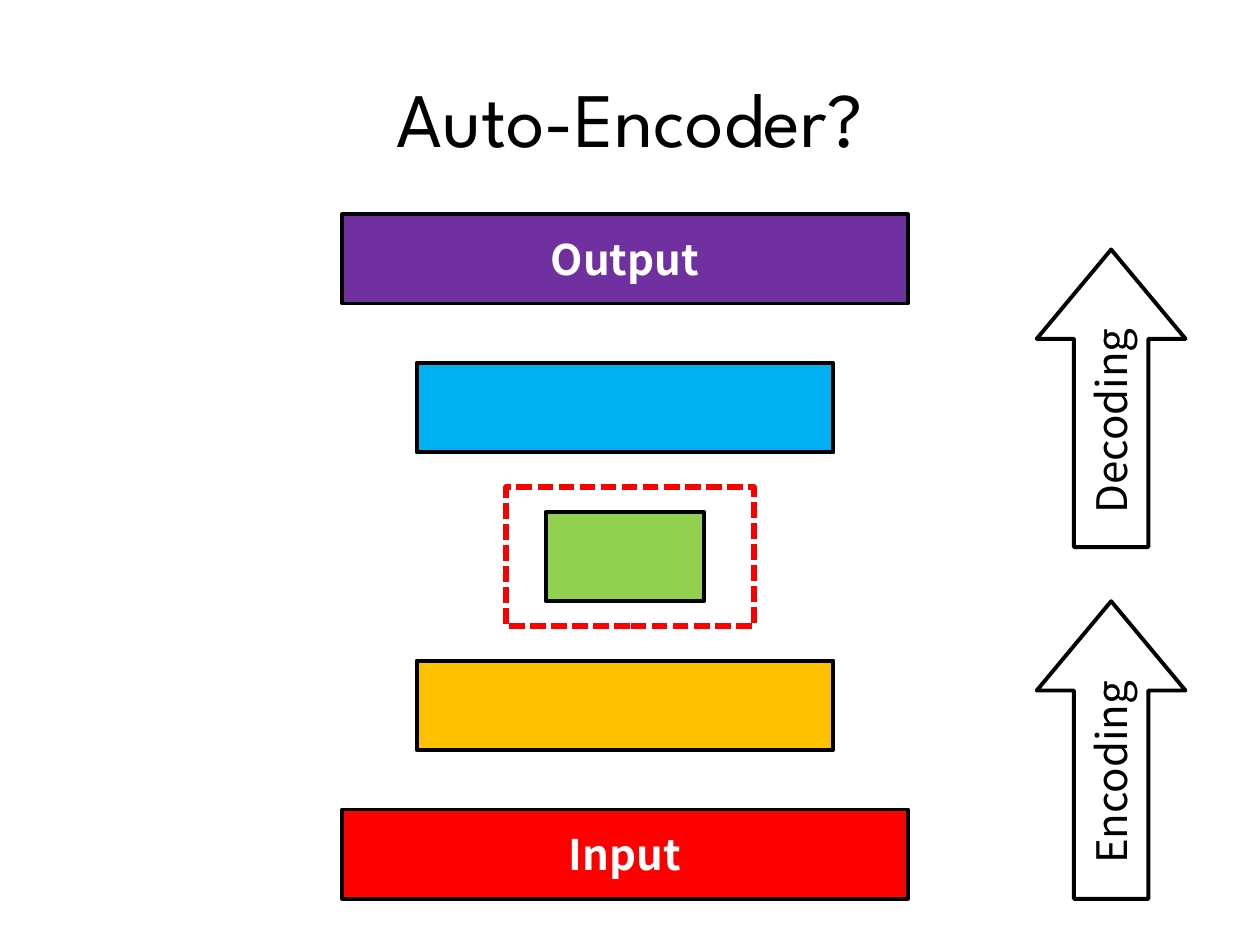
from dataclasses import dataclass

from pptx import Presentation
from pptx.dml.color import RGBColor
from pptx.enum import dml, shapes, text
from pptx.util import Cm, Pt


@dataclass(frozen=True)
class Theme:
    black: str = "000000"
    white: str = "FFFFFF"
    red: str = "FF0000"
    amber: str = "FFC000"
    green: str = "92D050"
    blue: str = "00B0F0"
    purple: str = "7030A0"
    title_font: str = "League Spartan"
    body_font: str = "Noto Sans CJK TC"
    title_size: float = 44
    label_size: float = 24
    outline: float = 2.25
    highlight: float = 3


THEME = Theme()
STACK_CENTER = 12.6
STACK_TOP = 4.32
LAYER_HEIGHT = 1.8
LAYER_PITCH = 3.0
# Label, width in cm and fill, from the top layer down
LAYERS = [
    ("Output", 11.4, THEME.purple),
    ("", 8.4, THEME.blue),
    ("", 3.2, THEME.green),
    ("", 8.4, THEME.amber),
    ("Input", 11.4, THEME.red),
]
ARROWS = [("Encoding", 13.62), ("Decoding", 6.53)]


def write_text(shape, words, color, **font_format):
    frame = shape.text_frame
    frame.text = words
    frame.word_wrap = True
    frame.vertical_anchor = text.MSO_ANCHOR.MIDDLE
    paragraph = frame.paragraphs[0]
    paragraph.alignment = text.PP_ALIGN.CENTER
    font = paragraph.runs[0].font
    font.color.rgb = RGBColor.from_string(color)
    for name, value in font_format.items():
        setattr(font, name, value)


def place(shape, left, top, width, height):
    for name, value in dict(left=left, top=top, width=width, height=height).items():
        setattr(shape, name, Cm(value))


def add_outlined(slide, kind, box, fill=None, line=THEME.black, weight=THEME.outline):
    """Add a preset shape; without a fill colour it stays see-through."""
    shape = slide.shapes.add_shape(kind, *map(Cm, box))
    shape.shadow.inherit = False
    if fill:
        shape.fill.solid()
        shape.fill.fore_color.rgb = RGBColor.from_string(fill)
    else:
        shape.fill.background()
    shape.line.color.rgb = RGBColor.from_string(line)
    shape.line.width = Pt(weight)
    return shape


def add_title(slide, words):
    title = slide.shapes.title
    place(title, 1.27, 0.76, 22.86, 3.18)
    write_text(title, words, THEME.black, name=THEME.title_font, size=Pt(THEME.title_size))


def add_layer(slide, row, label, width, fill):
    box = (STACK_CENTER - width / 2, STACK_TOP + row * LAYER_PITCH, width, LAYER_HEIGHT)
    layer = add_outlined(slide, shapes.MSO_SHAPE.RECTANGLE, box, fill)
    if label:
        write_text(layer, label, THEME.white, name=THEME.body_font,
                   size=Pt(THEME.label_size), bold=True)


def add_code_frame(slide):
    """Dashed frame around the innermost layer."""
    frame = add_outlined(slide, shapes.MSO_SHAPE.RECTANGLE, (10.2, 9.82, 5, 2.8),
                         line=THEME.red, weight=THEME.highlight)
    frame.line.dash_style = dml.MSO_LINE.SQUARE_DOT


def add_up_arrow(slide, label, top):
    arrow = add_outlined(slide, shapes.MSO_SHAPE.RIGHT_ARROW, (19.4, top, 6, 3))
    arrow.rotation = 270
    arrow.adjustments[0] = 0.5
    arrow.adjustments[1] = 0.6
    write_text(arrow, label, THEME.black, name=THEME.body_font, size=Pt(THEME.label_size))


def main():
    presentation = Presentation()
    presentation.slide_width = Cm(25.4)
    presentation.slide_height = Cm(19.05)
    slide = presentation.slides.add_slide(presentation.slide_layouts[5])
    add_title(slide, "Auto-Encoder?")
    for row, layer in enumerate(LAYERS):
        add_layer(slide, row, *layer)
    add_code_frame(slide)
    for label, top in ARROWS:
        add_up_arrow(slide, label, top)
    presentation.save("out.pptx")


if __name__ == "__main__":
    main()
